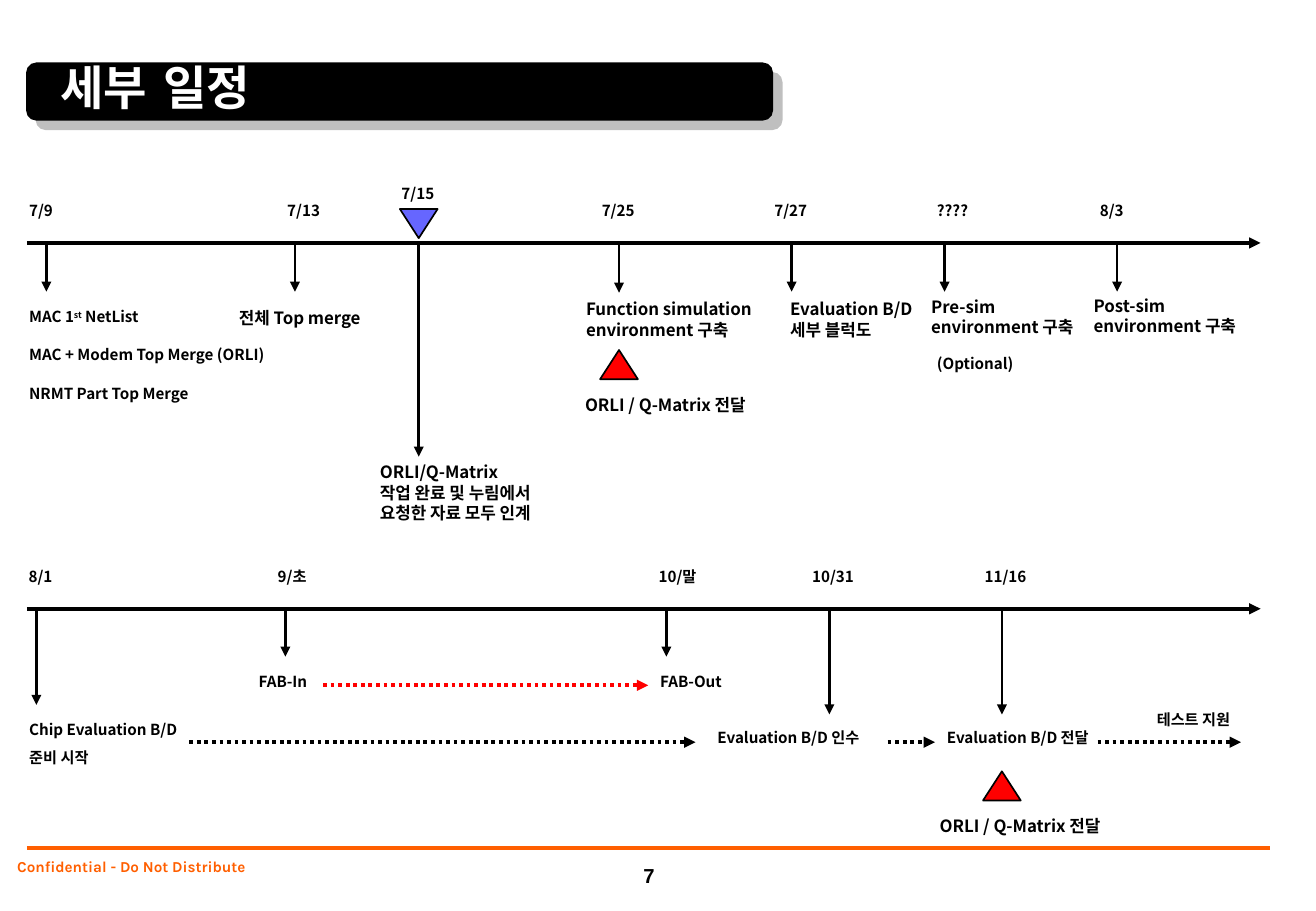
from lxml import etree
from pptx import Presentation
from pptx.dml.color import RGBColor
from pptx.enum.dml import MSO_LINE
from pptx.enum.shapes import MSO_CONNECTOR, MSO_SHAPE
from pptx.enum.text import MSO_ANCHOR, PP_ALIGN
from pptx.oxml import parse_xml
from pptx.oxml.ns import nsdecls, qn
from pptx.util import Cm, Pt

STRAIGHT = MSO_CONNECTOR.STRAIGHT
DOTTED = MSO_LINE.ROUND_DOT
ROUNDED, TRIANGLE = MSO_SHAPE.ROUNDED_RECTANGLE, MSO_SHAPE.ISOSCELES_TRIANGLE
TOP, MIDDLE, BOTTOM = MSO_ANCHOR.TOP, MSO_ANCHOR.MIDDLE, MSO_ANCHOR.BOTTOM
LEFT, CENTER = PP_ALIGN.LEFT, PP_ALIGN.CENTER

BLACK = RGBColor(0x00, 0x00, 0x00)
WHITE = RGBColor(0xFF, 0xFF, 0xFF)
ORANGE = RGBColor(0xFF, 0x5F, 0x00)
RED = RGBColor(0xFF, 0x00, 0x00)
BLUE = RGBColor(0x66, 0x66, 0xFF)
BODY_FONT = "Noto Sans CJK KR"

# Positions and lengths below are in centimetres.
AXIS_LEFT, AXIS_RIGHT = 0.56, 26.37
NEAR, FAR = 0.41, 0.61  # how far a date box starts left of its arrow
DATE_RISE, DATE_RAISED = 0.99, 1.35  # how far a date box starts above its axis

# axis height, then (date, arrow x, arrow length, date shift, date rise)
TIMELINES = [
    (5.08, [
        ("7/9", 0.97, 1.02, FAR, DATE_RISE),
        ("7/13", 6.17, 1.02, NEAR, DATE_RISE),
        ("7/15", 8.76, 4.47, FAR, DATE_RAISED),
        ("7/25", 12.95, 1.04, FAR, DATE_RISE),
        ("7/27", 16.56, 1.02, FAR, DATE_RISE),
        ("????", 19.76, 1.02, NEAR, DATE_RISE),
        ("8/3", 23.37, 1.02, FAR, DATE_RISE),
    ]),
    (12.73, [
        ("8/1", 0.76, 2.01, NEAR, DATE_RISE),
        ("9/초", 5.97, 1.0, NEAR, DATE_RISE),
        ("10/말", 13.94, 1.0, NEAR, DATE_RISE),
        ("10/31", 17.35, 2.21, FAR, DATE_RISE),
        ("11/16", 20.96, 2.21, FAR, DATE_RISE),
    ]),
]

# left, top, width, lines; a line may be a list of (text, is superscript)
NOTES = [
    (0.36, 6.3, 5.61, [[("MAC 1", False), ("st", True), (" NetList", False)]]),
    (0.36, 7.09, 5.61, ["MAC + Modem Top Merge (ORLI)"]),
    (0.36, 7.9, 5.61, ["NRMT Part Top Merge"]),
    (19.35, 7.29, 2.41, ["(Optional)"]),
    (0.36, 14.94, 5.61, ["Chip Evaluation B/D", "준비 시작"]),
    (5.16, 13.92, 5.61, ["FAB-In"]),
    (13.56, 13.92, 5.61, ["FAB-Out"]),
    (14.76, 15.11, 5.61, ["Evaluation B/D 인수"]),
    (19.56, 15.11, 5.61, ["Evaluation B/D 전달"]),
    (23.95, 14.73, 2.41, ["테스트 지원"]),
]
DELIVERY = ["ORLI / Q-Matrix 전달"]
MILESTONES = [
    (12.01, 6.12, 4.11, ["Function simulation", "environment 구축"]),
    (16.28, 6.12, 3.1, ["Evaluation B/D", "세부 블럭도"]),
    (19.23, 6.07, 3.71, ["Pre-sim", "environment 구축"]),
    (22.63, 6.05, 3.71, ["Post-sim", "environment 구축"]),
    (7.7, 9.53, 3.71, ["ORLI/Q-Matrix", "작업 완료 및 누림에서", "요청한 자료 모두 인계"]),
    (11.99, 8.13, 3.89, DELIVERY),
    (19.41, 16.92, 3.89, DELIVERY),
]
TOP_MERGE = (4.75, 6.3, 5.59, 0.69, ["전체 Top merge"])

# from x, to x, y, colour
PHASES = [
    (3.96, 14.55, 15.52, BLACK),
    (18.57, 19.56, 15.52, BLACK),
    (22.96, 25.96, 15.52, BLACK),
    (6.76, 13.56, 14.33, RED),
]
# centre x, top, colour, rotation
MARKERS = [(8.76, 4.37, BLUE, 180), (12.95, 7.32, RED, 0), (20.96, 16.13, RED, 0)]
MARKER_WIDTH, MARKER_HEIGHT = 0.79, 0.61

prs = Presentation()
prs.slide_width, prs.slide_height = Cm(27.53), Cm(19.05)
slide = prs.slides.add_slide(prs.slide_layouts[6])
shapes = slide.shapes


def add_line(x1, y1, x2, y2, width, color=BLACK, arrow=True, dash=None):
    connector = shapes.add_connector(STRAIGHT, Cm(x1), Cm(y1), Cm(x2), Cm(y2))
    connector.line.width = Pt(width)
    connector.line.color.rgb = color
    if dash is not None:
        connector.line.dash_style = dash
    properties = connector._element.spPr
    if arrow:
        etree.SubElement(properties.find(qn("a:ln")), qn("a:tailEnd"), type="triangle")
    etree.SubElement(properties, qn("a:effectLst"))


def add_text(left, top, width, height, lines, size=9, color=BLACK, font=BODY_FONT,
             anchor=TOP, align=LEFT, wrap=True, insets=(0.25, 0.13), gap=0, spacing=None):
    frame = shapes.add_textbox(Cm(left), Cm(top), Cm(width), Cm(height)).text_frame
    side, edge = map(Cm, insets)
    settings = {"word_wrap": wrap, "vertical_anchor": anchor, "margin_left": side,
                "margin_right": side, "margin_top": edge, "margin_bottom": edge}
    for name, value in settings.items():
        setattr(frame, name, value)
    for index, line in enumerate(lines):
        paragraph = frame.add_paragraph() if index else frame.paragraphs[0]
        paragraph.alignment = align
        paragraph.line_spacing = spacing
        if index:
            paragraph.space_before = Pt(gap)
        pieces = [(line, False)] if isinstance(line, str) else line
        for text, superscript in pieces:
            run = paragraph.add_run()
            run.text = text
            run.font.size, run.font.bold, run.font.name = Pt(size), True, font
            run.font.color.rgb = color
            character = run._r.get_or_add_rPr()
            etree.SubElement(character, qn("a:ea"), typeface=font)
            if superscript:
                character.set("baseline", "30000")


def add_filled(preset, left, top, width, height, fill, line_width):
    shape = shapes.add_shape(preset, Cm(left), Cm(top), Cm(width), Cm(height))
    shape.shadow.inherit = False
    shape.fill.solid()
    shape.fill.fore_color.rgb = fill
    shape.line.color.rgb = BLACK
    shape.line.width = Pt(line_width)
    return shape


# Title bar and footer
title_bar = add_filled(ROUNDED, 0.56, 1.32, 15.6, 1.19, BLACK, 0.75)
title_bar.adjustments[0] = 0.17
title_bar._element.spPr.find(qn("a:effectLst")).append(parse_xml(
    f'<a:outerShdw {nsdecls("a")} blurRad="0" dist="{Pt(8)}" dir="2700000" algn="ctr" '
    'rotWithShape="0"><a:srgbClr val="808080"><a:alpha val="50000"/></a:srgbClr></a:outerShdw>'))
add_text(1.07, 0.51, 15.01, 2.62, ["세부 일정"], size=28, color=WHITE,
         font="DejaVu Sans", anchor=MIDDLE, insets=(0.2, 0.15))
add_line(AXIS_LEFT, 17.73, 26.57, 17.73, 2, ORANGE, arrow=False)
add_text(0.23, 17.88, 9.3, 0.69, ["Confidential - Do Not Distribute"], color=ORANGE,
         font="Karla", insets=(0.13, 0), spacing=1.1)
add_text(13.18, 17.91, 0.79, 0.79, ["7"], size=12, font="Arial", anchor=BOTTOM, align=CENTER)

# Schedule
for axis, events in TIMELINES:
    add_line(AXIS_LEFT, axis, AXIS_RIGHT, axis, 2.25)
    for date, x, length, shift, rise in events:
        add_line(x, axis, x, axis + length, 1.5)
        add_text(x - shift, axis - rise, 1.8, 0.64, [date])

for start, end, y, color in PHASES:
    add_line(start, y, end, y, 2.25, color, dash=DOTTED)

for left, top, width, lines in NOTES:
    add_text(left, top, width, 0.06 + 0.58 * len(lines), lines, gap=5.6)
add_text(*TOP_MERGE, size=10)
for left, top, width, lines in MILESTONES:
    add_text(left, top, width, 0.27 + 0.42 * len(lines), lines, size=10,
             anchor=MIDDLE, wrap=False)

for center, top, color, rotation in MARKERS:
    marker = add_filled(TRIANGLE, center - MARKER_WIDTH / 2, top,
                        MARKER_WIDTH, MARKER_HEIGHT, color, 1)
    marker.rotation = rotation

prs.save("out.pptx")
